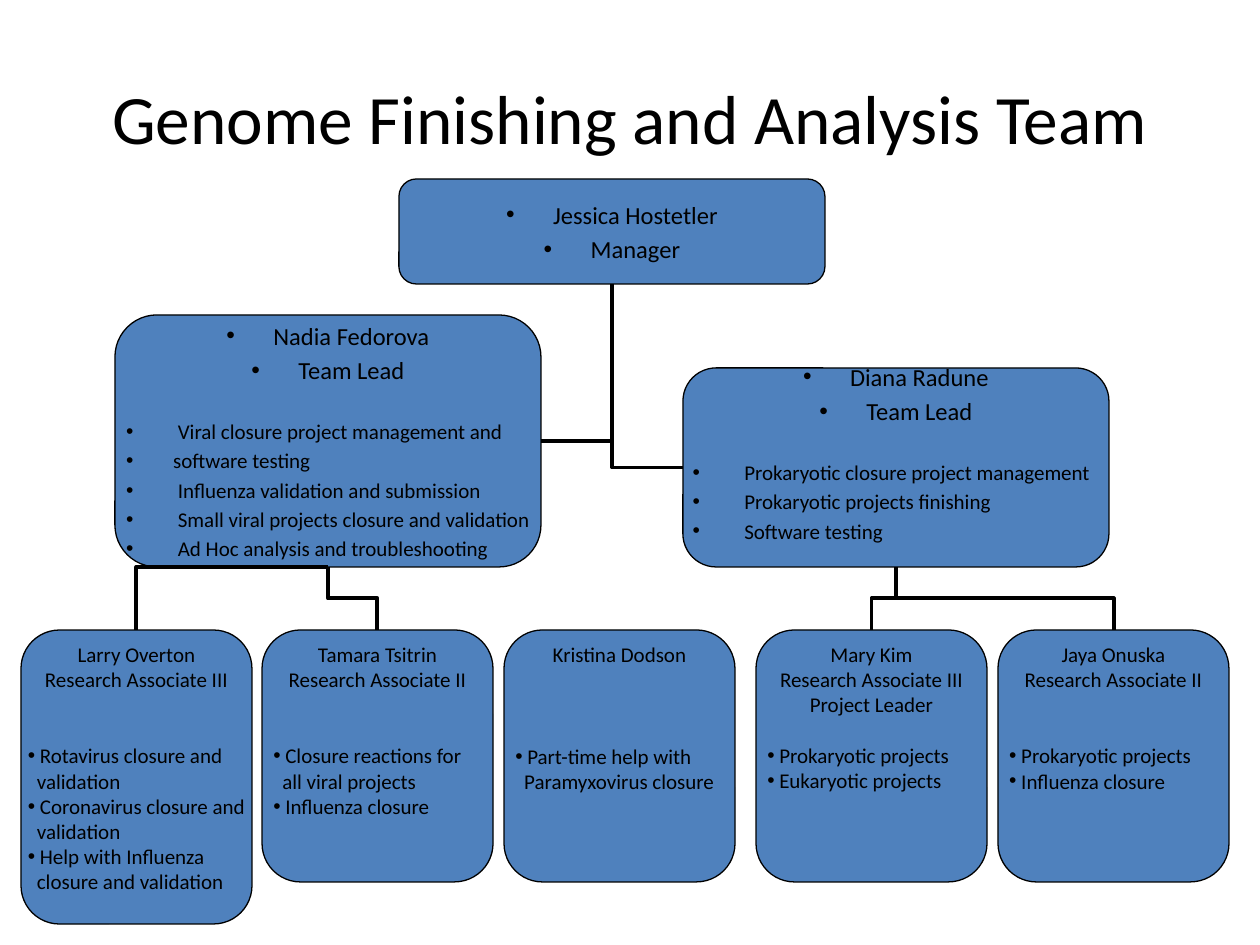
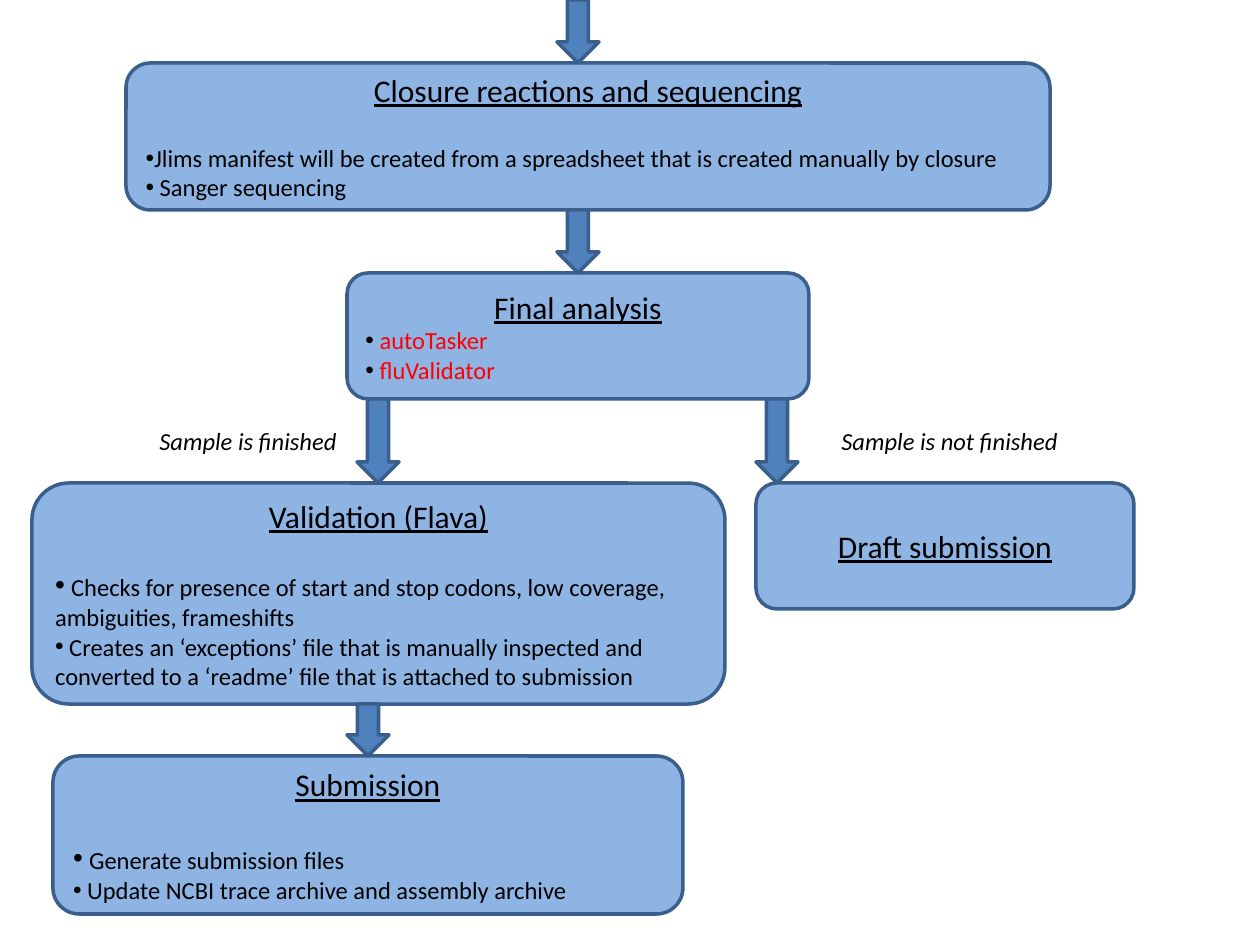
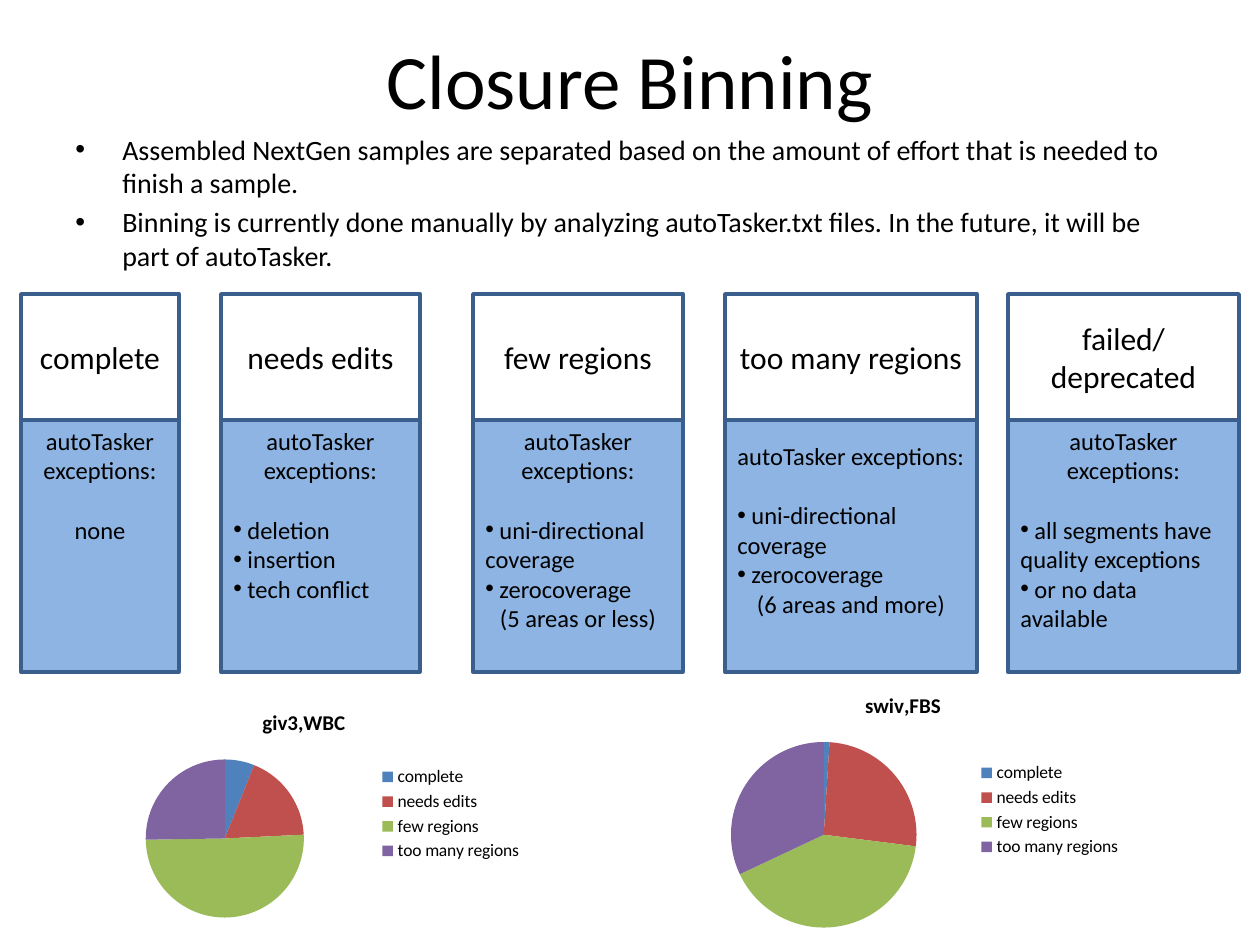
"""Build three slides on a genome finishing team, its workflow and its closure binning."""
from lxml import etree
from pptx import Presentation, util as u
from pptx.chart.data import CategoryChartData
from pptx.dml.color import RGBColor
from pptx.enum import chart as charts, shapes, text
from pptx.oxml.ns import qn

THEME = {
    "font": "Calibri", "ink": "000000", "alert": "FF0000", "box": "4F81BD",
    "panel": "8EB4E3", "edge": "3A5F8C",
    "pie": ["4F81BD", "C0504D", "9BBB59", "8064A2"],
    "title": 44, "long_title": 39.6, "heading": 18, "body": 16, "item": 14,
    "small": 12, "legend": 10, "thin": 0.75, "outline": 2, "connector": 2.25,
}
LINE = 1.22
CENTER = {"align": text.PP_ALIGN.CENTER}
LEAD_BULLET = {"bullet": True, "left": 47, "hang": 47}
STYLES = {
    "title": {"size": THEME["title"], **CENTER},
    "long_title": {"size": THEME["long_title"], **CENTER},
    "lead": {"size": THEME["item"], "before": 2.8, **CENTER, **LEAD_BULLET},
    "duty": {"size": THEME["small"], "before": 2.4, **LEAD_BULLET},
    "member": {"size": THEME["small"], **CENTER},
    "task": {"size": THEME["small"], "bullet": True},
    "task_more": {"size": THEME["small"], "left": 9},
    "step": {"size": THEME["heading"], "underline": True, **CENTER},
    "item": {"size": THEME["item"], "bullet": True},
    "label": {"size": THEME["item"], "italic": True},
    "point": {"size": THEME["body"], "before": 3.2, **LEAD_BULLET},
    "bin": {"size": THEME["heading"], **CENTER},
    "plain": {"size": THEME["item"], **CENTER},
}

TEAM_TITLE = "Genome Finishing and Analysis Team"
LEADERS = {
    "manager": ((399, 179, 426, 105), 0, [("lead", "Jessica Hostetler"), ("lead", "Manager")]),
    "viral": ((115, 315, 426, 252), 0, [
        ("lead", "Nadia Fedorova"), ("lead", "Team Lead"),
        ("duty", " Viral closure project management and", 17),
        ("duty", "software testing"),
        ("duty", " Influenza validation and submission"),
        ("duty", " Small viral projects closure and validation"),
        ("duty", " Ad Hoc analysis and troubleshooting")]),
    "prokaryotic": ((683, 368, 426, 199), 30, [
        ("lead", "Diana Radune"), ("lead", "Team Lead"),
        ("duty", " Prokaryotic closure project management", 17),
        ("duty", " Prokaryotic projects finishing"),
        ("duty", " Software testing")]),
}
ASSOCIATE_TOP, ASSOCIATE_WIDTH, TASK_LINE = 630, 231, 4
ASSOCIATES = [
    (21, 294, ["Larry Overton", "Research Associate III"], [
        ("task", " Rotavirus closure and"), ("task_more", "validation"),
        ("task", " Coronavirus closure and"), ("task_more", "validation"),
        ("task", " Help with Influenza"), ("task_more", "closure and validation")]),
    (262, 252, ["Tamara Tsitrin", "Research Associate II"], [
        ("task", " Closure reactions for"), ("task_more", "all viral projects"),
        ("task", " Influenza closure")]),
    (504, 252, ["Kristina Dodson"], [
        ("task", " Part-time help with"), ("task_more", "Paramyxovirus closure")]),
    (756, 252, ["Mary Kim", "Research Associate III", "Project Leader"], [
        ("task", " Prokaryotic projects"), ("task", " Eukaryotic projects")]),
    (998, 252, ["Jaya Onuska", "Research Associate II"], [
        ("task", " Prokaryotic projects"), ("task", " Influenza closure")]),
]
REPORTS = [("viral", 0, "side"), ("viral", 1, "step"),
           ("prokaryotic", 3, "step"), ("prokaryotic", 4, "step")]

STEPS = [
    ((126, 63, 924, 147), [
        ("step", "Closure reactions and sequencing"),
        ("item", "Jlims manifest will be created from a spreadsheet that is created "
                 "manually by closure", THEME["body"] * LINE),
        ("item", " Sanger sequencing")]),
    ((347, 273, 462, 126), [
        ("step", "Final analysis"),
        ("item", [(" ", {}), ("autoTasker", {"color": THEME["alert"]})]),
        ("item", [(" ", {}), ("fluValidator", {"color": THEME["alert"]})])]),
    ((756, 483, 378, 126), [("step", "Draft submission")]),
    ((32, 483, 693, 221), [
        ("step", "Validation (Flava)"),
        ("item", [(" ", {"size": THEME["body"]}),
                  ("Checks for presence of start and stop codons, low coverage, "
                   "ambiguities, frameshifts", {})], THEME["body"] * LINE),
        ("item", " Creates an ‘exceptions’ file that is manually inspected and converted "
                 "to a ‘readme’ file that is attached to submission")]),
    ((53, 756, 630, 158), [
        ("step", "Submission"),
        ("item", [(" ", {"size": THEME["body"]}), ("Generate submission files", {})],
         THEME["heading"] * LINE),
        ("item", " Update NCBI trace archive and assembly archive")]),
]
ARROW_WIDTH = 42
ARROWS = [(557, 0, 63), (557, 210, 63), (357, 399, 84), (756, 399, 84), (347, 704, 52)]
OUTCOMES = [((147, 420, 205, 43), "Sample is finished"),
            ((829, 420, 244, 43), "Sample is not finished")]

BINNING_TITLE = "Closure Binning"
BINNING_POINTS = [
    "Assembled NextGen samples are separated based on the amount of effort that is needed "
    "to finish a sample.",
    "Binning is currently done manually by analyzing autoTasker.txt files. In the future, "
    "it will be part of autoTasker.",
]
BIN_TOP, BIN_HEAD, BIN_BODY = 294, 126, 252
EXCEPTIONS = "autoTasker exceptions:"
BINS = [
    (21, 158, 6, "complete", [("plain", "none")]),
    (221, 199, 6, "needs edits",
     [("item", " deletion"), ("item", " insertion"), ("item", " tech conflict")]),
    (473, 210, 6, "few regions",
     [("item", " uni-directional coverage"), ("item", " zerocoverage"),
      ("plain", "(5 areas or less)")]),
    (725, 252, 21, "too many regions",
     [("item", " uni-directional coverage"), ("item", " zerocoverage"),
      ("plain", "(6 areas and more)")]),
    (1008, 231, 6, "failed/ deprecated",
     [("item", " all segments have quality exceptions"),
      ("item", " or no data available")]),
]
PIE_CATEGORIES = ["complete", "needs edits", "few regions", "too many regions"]
PIES = [((73, 693, 462, 242), "giv3,WBC", [6, 18, 50, 25]),
        ((672, 675, 462, 270), "swiv,FBS", [1, 26, 41, 32])]


def px(value):
    return u.Emu(round(value * u.Inches(1) / 126))


def place(box):
    return [px(value) for value in box]


def set_font(font, size, color=THEME["ink"], **formats):
    for name, value in {"name": THEME["font"], "size": u.Pt(size), **formats}.items():
        setattr(font, name, value)
    font.color.rgb = RGBColor.from_string(color)


def write(shape, paragraphs, anchor="MIDDLE", wrap=True, **margins):
    frame = shape.text_frame
    formats = {"word_wrap": wrap, "vertical_anchor": getattr(text.MSO_ANCHOR, anchor)}
    formats.update({f"margin_{side}": px(value) for side, value in margins.items()})
    for name, value in formats.items():
        setattr(frame, name, value)
    for index, (style_name, content, *gap) in enumerate(paragraphs):
        style = STYLES[style_name]
        paragraph = frame.add_paragraph() if index else frame.paragraphs[0]
        paragraph.alignment = style.get("align", text.PP_ALIGN.LEFT)
        if index:
            paragraph.space_before = u.Pt(round(style.get("before", 0) + sum(gap), 1))
        properties = paragraph._p.get_or_add_pPr()
        properties.set("marL", str(px(style.get("left", 0))))
        properties.set("indent", str(-px(style.get("hang", 0))))
        if style.get("bullet"):
            etree.SubElement(properties, qn("a:buFont"), typeface="Arial")
            etree.SubElement(properties, qn("a:buChar"), char="•")
        base = {key: style[key] for key in ("size", "underline", "italic") if key in style}
        for words, changes in [(content, {})] if isinstance(content, str) else content:
            run = paragraph.add_run()
            run.text = words
            set_font(run.font, **{**base, **changes})


def add_box(slide, kind, box, fill=None, line=THEME["edge"], width=THEME["outline"]):
    shape = slide.shapes.add_shape(getattr(shapes.MSO_SHAPE, kind), *place(box))
    shape.shadow.inherit = False
    if fill:
        shape.fill.solid()
        shape.fill.fore_color.rgb = RGBColor.from_string(fill)
    else:
        shape.fill.background()
    shape.line.color.rgb = RGBColor.from_string(line)
    shape.line.width = u.Pt(width)
    return shape


def add_text(slide, box, paragraphs, **formats):
    write(slide.shapes.add_textbox(*place(box)), paragraphs, **formats)


def add_elbow(slide, parent, child, route, child_site=0):
    start = parent.left + parent.width // 2, parent.top + parent.height
    end = {0: (child.left + child.width // 2, child.top),
           1: (child.left, child.top + child.height // 2),
           3: (child.left + child.width, child.top + child.height // 2)}[child_site]
    connector = slide.shapes.add_connector(shapes.MSO_CONNECTOR.ELBOW, *start, *end)
    connector.line.color.rgb = RGBColor.from_string(THEME["ink"])
    connector.line.width = u.Pt(THEME["connector"])
    properties = connector._element.spPr
    etree.SubElement(properties, qn("a:effectLst"))
    if route != "step":
        properties.find(qn("a:prstGeom")).set("prst", "bentConnector2")
    if route == "side":
        return
    connector.begin_connect(parent, 2)
    connector.end_connect(child, child_site)
    across, down = abs(end[0] - start[0]), end[1] - start[1]
    frame = {"left": (start[0] + end[0] - down) // 2, "top": (start[1] + end[1] - across) // 2,
             "width": down, "height": across}
    for name, value in frame.items():
        setattr(connector, name, value)
    transform = properties.find(qn("a:xfrm"))
    transform.attrib.pop("flipH", None)
    rightward = end[0] > start[0]
    connector.rotation = 270 if rightward else 90
    if rightward:
        transform.set("flipH", "1")


def add_pie(slide, box, name, values):
    data = CategoryChartData()
    data.categories = PIE_CATEGORIES
    data.add_series(name, values)
    chart = slide.shapes.add_chart(charts.XL_CHART_TYPE.PIE, *place(box), data).chart
    set_font(chart.font, THEME["legend"])
    chart.has_title = chart.has_legend = True
    chart.chart_title.text_frame.text = name
    title = chart.chart_title.text_frame.paragraphs[0].runs[0]
    set_font(title.font, THEME["small"], bold=True)
    chart.legend.position = charts.XL_LEGEND_POSITION.RIGHT
    chart.legend.include_in_layout = False
    plot = chart.plots[0]
    plot.vary_by_categories = True
    for index, color in enumerate(THEME["pie"]):
        fill = plot.series[0].points[index].format.fill
        fill.solid()
        fill.fore_color.rgb = RGBColor.from_string(color)


def build_team(slide):
    add_text(slide, (63, 38, 1134, 158), [("long_title", TEAM_TITLE)])
    tight = {"wrap": False, "left": 0, "right": 0, "top": 0}
    look = {"fill": THEME["box"], "line": THEME["ink"], "width": THEME["thin"]}
    leaders = {}
    for role, (box, bottom, paragraphs) in LEADERS.items():
        leaders[role] = add_box(slide, "ROUNDED_RECTANGLE", box, **look)
        write(leaders[role], paragraphs, bottom=bottom, **tight)
    members = []
    for left, height, names, tasks in ASSOCIATES:
        box = (left, ASSOCIATE_TOP, ASSOCIATE_WIDTH, height)
        members.append(add_box(slide, "ROUNDED_RECTANGLE", box, **look))
        gap = (TASK_LINE - len(names)) * THEME["small"] * LINE
        lines = [("member", name) for name in names] + [(*tasks[0], gap)] + tasks[1:]
        write(members[-1], lines, anchor="TOP", bottom=0, **tight)
    add_elbow(slide, leaders["manager"], leaders["viral"], "turn", 3)
    add_elbow(slide, leaders["manager"], leaders["prokaryotic"], "turn", 1)
    for role, index, route in REPORTS:
        add_elbow(slide, leaders[role], members[index], route)


def build_workflow(slide):
    for box, paragraphs in STEPS:
        write(add_box(slide, "ROUNDED_RECTANGLE", box, THEME["panel"]), paragraphs)
    for left, top, height in ARROWS:
        add_box(slide, "DOWN_ARROW", (left, top, ARROW_WIDTH, height), THEME["box"])
    for box, words in OUTCOMES:
        add_text(slide, box, [("label", words)], anchor="TOP", wrap=False)


def build_binning(slide):
    add_text(slide, (63, 0, 1134, 158), [("title", BINNING_TITLE)])
    add_text(slide, (63, 126, 1134, 624), [("point", words) for words in BINNING_POINTS],
             anchor="TOP")
    for left, width, inset, name, (first, *others) in BINS:
        write(add_box(slide, "RECTANGLE", (left, BIN_TOP, width, BIN_HEAD)), [("bin", name)])
        body = add_box(slide, "RECTANGLE", (left, BIN_TOP + BIN_HEAD, width, BIN_BODY),
                       THEME["panel"])
        lines = [("plain", EXCEPTIONS), (*first, THEME["item"] * LINE), *others]
        write(body, lines, anchor="TOP", top=inset)
    for pie in PIES:
        add_pie(slide, *pie)


def main():
    presentation = Presentation()
    presentation.slide_width, presentation.slide_height = px(1260), px(945)
    for build in (build_team, build_workflow, build_binning):
        build(presentation.slides.add_slide(presentation.slide_layouts[6]))
    presentation.save("out.pptx")


if __name__ == "__main__":
    main()
